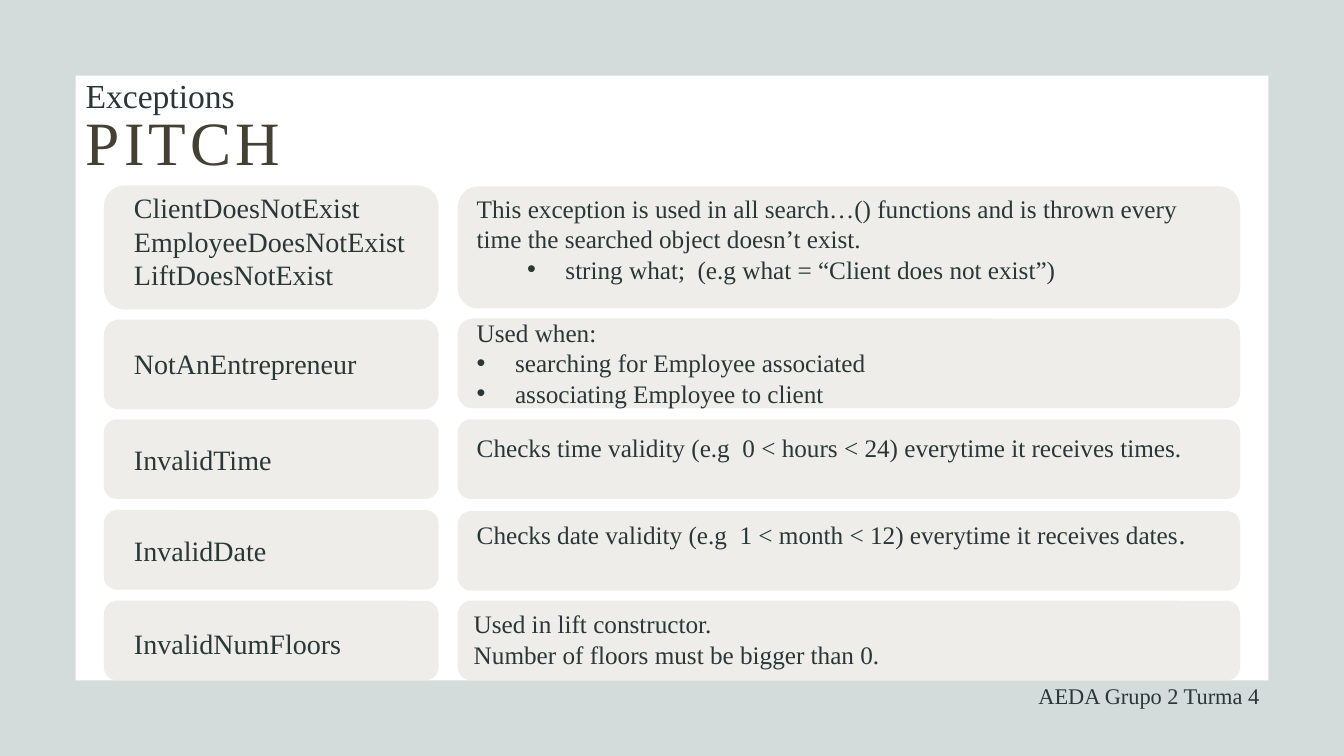
from lxml import etree
from pptx import Presentation
from pptx.dml.color import RGBColor
from pptx.enum.shapes import MSO_SHAPE
from pptx.enum.text import MSO_ANCHOR, MSO_AUTO_SIZE, PP_ALIGN
from pptx.oxml.ns import qn
from pptx.util import Inches, Pt

RECT = MSO_SHAPE.RECTANGLE
ROUNDED = MSO_SHAPE.ROUNDED_RECTANGLE
LEFT, RIGHT = PP_ALIGN.LEFT, PP_ALIGN.RIGHT
TOP, BOTTOM = MSO_ANCHOR.TOP, MSO_ANCHOR.BOTTOM
NO_FIT = MSO_AUTO_SIZE.NONE
TITLE_ONLY = 5

FONT = "Times New Roman"
INK, TITLE_INK = "293737", "444033"
CARD, PANEL, BACKDROP = "EEEDEA", "FFFFFF", "557272"

NAME_CARD = (1.03, 3.32)
DETAIL_CARD = (4.54, 7.76)
NAME_LEFT, NAME_WIDTH = 1.23, 3.32
DETAIL_WIDTH = 7.48

EXCEPTIONS = [
    {"name_card": (1.84, 1.23), "detail_card": (1.85, 1.21),
     "names": ["ClientDoesNotExist", "EmployeeDoesNotExist", "LiftDoesNotExist"],
     "name_at": (1.84, 1.11), "detail_at": (4.63, 1.87, 1.01),
     "details": [("This exception is used in all search…() functions and is thrown "
                  "every time the searched object doesn’t exist.", None),
                 ("string what;  (e.g what = “Client does not exist”)", 0.88)]},
    {"name_card": (3.17, 0.89), "detail_card": (3.16, 0.89),
     "names": ["NotAnEntrepreneur"],
     "name_at": (3.39, 0.44), "detail_at": (4.63, 3.1, 1.01),
     "details": [("Used when:", None),
                 ("searching for Employee associated", 0.38),
                 ("associating Employee to client", 0.38)]},
    {"name_card": (4.16, 0.79), "detail_card": (4.16, 0.79),
     "names": ["InvalidTime"],
     "name_at": (4.34, 0.44), "detail_at": (4.63, 4.24, 0.74),
     "details": [("Checks time validity (e.g  0 < hours < 24) everytime it "
                  "receives times.", None)]},
    {"name_card": (5.06, 0.79), "detail_card": (5.07, 0.79),
     "names": ["InvalidDate"],
     "name_at": (5.24, 0.44), "detail_at": (4.63, 5.08, 0.77),
     "details": [("Checks date validity (e.g  1 < month < 12) everytime it "
                  "receives dates", None)],
     "ending": "."},
    {"name_card": (5.96, 0.79), "detail_card": (5.96, 0.79),
     "names": ["InvalidNumFloors"],
     "name_at": (6.17, 0.44), "detail_at": (4.6, 5.99, 0.74),
     "details": [("Used in lift constructor.", None),
                 ("Number of floors must be bigger than 0.", None)]},
]


def set_all(target, values):
    for name, value in values.items():
        setattr(target, name, value)


def set_color(color_format, color):
    color_format.rgb = RGBColor.from_string(color)


def format_font(font, size, color=INK):
    set_all(font, {"name": FONT, "size": Pt(size)})
    set_color(font.color, color)


def add_block(page, kind, left, top, width, height, color):
    block = page.shapes.add_shape(
        kind, Inches(left), Inches(top), Inches(width), Inches(height))
    block.shadow.inherit = False
    block.fill.solid()
    set_color(block.fill.fore_color, color)
    block.line.fill.background()
    return block


def set_opacity(block, percent):
    color = block.fill._xPr.find(qn("a:solidFill"))[0]
    etree.SubElement(color, qn("a:alpha"), val=str(percent * 1000))


def add_bullet(para, indent):
    props = para._p.get_or_add_pPr()
    props.set("marL", str(Inches(indent)))
    props.set("indent", str(-Inches(0.38)))
    etree.SubElement(props, qn("a:buFont"), typeface="Arial")
    etree.SubElement(props, qn("a:buChar"), char="•")


def add_text(page, left, top, width, height, lines, size, align=LEFT):
    box = page.shapes.add_textbox(
        Inches(left), Inches(top), Inches(width), Inches(height))
    frame = box.text_frame
    set_all(frame, {"word_wrap": True, "auto_size": NO_FIT, "vertical_anchor": TOP})
    for number, (text, indent) in enumerate(lines):
        para = frame.paragraphs[0] if number == 0 else frame.add_paragraph()
        para.alignment = align
        if indent is not None:
            add_bullet(para, indent)
        span = para.add_run()
        span.text = text
        format_font(span.font, size)
    return frame


def place_title(page):
    title = page.shapes.title
    set_all(title, {"left": Inches(0.75), "top": Inches(0.92),
                    "width": Inches(10.38), "height": Inches(0.9)})
    frame = title.text_frame
    set_all(frame, {"vertical_anchor": BOTTOM, "auto_size": NO_FIT})
    para = frame.paragraphs[0]
    set_all(para, {"alignment": LEFT, "line_spacing": 0.9})
    span = para.add_run()
    span.text = "PITCH"
    format_font(span.font, 44, TITLE_INK)
    span.font._element.set("spc", "300")
    title._element.getparent().append(title._element)


def add_exception(page, entry):
    for (left, width), key in ((NAME_CARD, "name_card"), (DETAIL_CARD, "detail_card")):
        top, height = entry[key]
        add_block(page, ROUNDED, left, top, width, height, CARD)
    top, height = entry["name_at"]
    names = [(name, None) for name in entry["names"]]
    add_text(page, NAME_LEFT, top, NAME_WIDTH, height, names, 20)
    left, top, height = entry["detail_at"]
    frame = add_text(page, left, top, DETAIL_WIDTH, height, entry["details"], 18)
    if "ending" in entry:
        span = frame.paragraphs[-1].add_run()
        span.text = entry["ending"]
        format_font(span.font, 20)


def main():
    deck = Presentation()
    set_all(deck, {"slide_width": Inches(13.33), "slide_height": Inches(7.5)})
    page = deck.slides.add_slide(deck.slide_layouts[TITLE_ONLY])
    set_opacity(add_block(page, RECT, 0, 0, 13.33, 7.5, BACKDROP), 25)
    add_block(page, RECT, 0.75, 0.75, 11.83, 6, PANEL)
    place_title(page)
    add_text(page, 0.75, 0.69, 2.72, 0.5, [("Exceptions", None)], 24)
    add_text(page, 3.71, 6.72, 8.88, 0.5, [("AEDA Grupo 2 Turma 4", None)], 16, RIGHT)
    for entry in EXCEPTIONS:
        add_exception(page, entry)
    deck.save("out.pptx")


if __name__ == "__main__":
    main()
